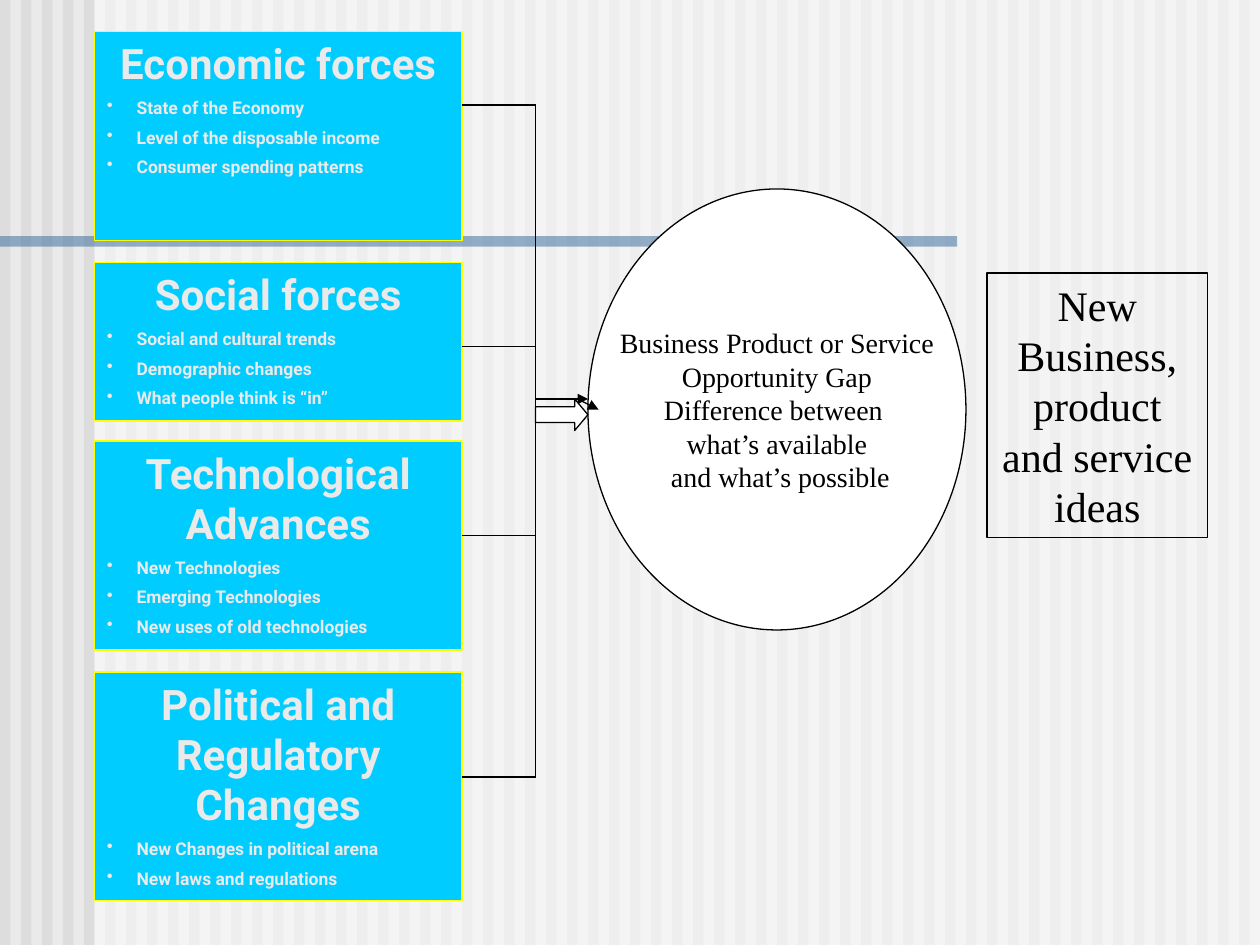
from dataclasses import dataclass

from lxml.etree import SubElement
from pptx import Presentation
from pptx.dml.color import RGBColor
from pptx.enum.shapes import MSO_CONNECTOR, MSO_SHAPE
from pptx.enum.text import MSO_ANCHOR, PP_ALIGN
from pptx.oxml.ns import qn
from pptx.util import Pt


@dataclass(frozen=True)
class Theme:
    """Colours, fonts and type sizes of the slide."""
    backdrop: str = "EAEAEA"
    stripe: str = "DDDDDD"
    white: str = "FFFFFF"
    rule: str = "336699"
    panel: str = "00CCFF"
    panel_edge: str = "FFFF00"
    ink: str = "000000"
    sans: str = "Roboto"
    serif: str = "Times New Roman"
    large: int = 24
    medium: int = 16
    small: int = 10
    line: float = 0.75


THEME = Theme()
WIDTH, HEIGHT = 720, 540
STRIPE_STEP, STRIPE_WIDTH = 12, 6
PANEL_LEFT, PANEL_WIDTH = 54, 210
TRUNK_X = 306

# title, bullets, top, height, height of the connector
FORCES = [
    ("Economic forces",
     ["State of the Economy", "Level of the disposable income",
      "Consumer spending patterns"], 18, 119.5, 60),
    ("Social forces",
     ["Social and cultural trends", "Demographic changes",
      "What people think is “in”"], 150, 90.5, 198),
    ("Technological Advances",
     ["New Technologies", "Emerging Technologies",
      "New uses of old technologies"], 252, 119.5, 306),
    ("Political and Regulatory Changes",
     ["New Changes in political arena", "New laws and regulations"],
     384, 130.5, 444),
]
GAP_LINES = ["Business Product or Service", "Opportunity Gap",
             "Difference between ", "what’s available",
             " and what’s possible"]
IDEAS = "New Business, product and service ideas"
ARROWS = [((330, 228), (342, 234)), ((TRUNK_X, 228), (336, 228))]


def add_box(page, kind, left, top, width, height, fill=None, edge=None, alpha=None):
    """Add a preset shape with flat fill, optional outline and opacity in percent."""
    box = page.shapes.add_shape(kind, Pt(left), Pt(top), Pt(width), Pt(height))
    box.shadow.inherit = False
    if fill:
        box.fill.solid()
        box.fill.fore_color.rgb = RGBColor.from_string(fill)
    else:
        box.fill.background()
    if alpha:
        color = box.fill._xPr.find(qn("a:solidFill"))[0]
        SubElement(color, qn("a:alpha"), val=str(alpha * 1000))
    if edge:
        box.line.color.rgb = RGBColor.from_string(edge)
        box.line.width = Pt(THEME.line)
    else:
        box.line.fill.background()
    return box


def add_text(box, text, size, font=THEME.serif, color=THEME.ink, bold=False,
             align=PP_ALIGN.CENTER, before=0, bullet=False):
    """Append one formatted paragraph to a box."""
    frame = box.text_frame
    para = frame.add_paragraph() if frame.text else frame.paragraphs[0]
    para.alignment = align
    para.space_before = Pt(before)
    if bullet:
        props = para._p.get_or_add_pPr()
        props.set("marL", str(Pt(17)))
        props.set("indent", str(-Pt(17)))
        SubElement(props, qn("a:buChar"), char="•")
    span = para.add_run()
    span.text = text
    span.font.size = Pt(size)
    span.font.name = font
    span.font.bold = bold
    span.font.color.rgb = RGBColor.from_string(color)


def add_line(page, start, end, arrow=False):
    """Draw a straight connector, with an arrowhead at its end on request."""
    line = page.shapes.add_connector(
        MSO_CONNECTOR.STRAIGHT, *(Pt(value) for value in (*start, *end)))
    line.line.color.rgb = RGBColor.from_string(THEME.ink)
    line.line.width = Pt(THEME.line)
    if arrow:
        SubElement(line.line._get_or_add_ln(), qn("a:tailEnd"), type="triangle")
    SubElement(line._element.spPr, qn("a:effectLst"))


def add_backdrop(page):
    """Paint the striped background, the pale veil and the blue rule."""
    page.background.fill.solid()
    page.background.fill.fore_color.rgb = RGBColor.from_string(THEME.backdrop)
    for left in range(0, WIDTH, STRIPE_STEP):
        add_box(page, MSO_SHAPE.RECTANGLE, left, 0, STRIPE_WIDTH, HEIGHT, THEME.stripe)
    add_box(page, MSO_SHAPE.RECTANGLE, PANEL_LEFT, 0, WIDTH - PANEL_LEFT, HEIGHT,
            THEME.white, alpha=50)
    add_box(page, MSO_SHAPE.RECTANGLE, 0, 135, 547, 6, THEME.rule, alpha=50)


def add_force(page, title, bullets, top, height):
    """Add one panel with a title and its bullets."""
    panel = add_box(page, MSO_SHAPE.RECTANGLE, PANEL_LEFT, top, PANEL_WIDTH, height,
                    THEME.panel, THEME.panel_edge)
    panel.text_frame.word_wrap = True
    panel.text_frame.vertical_anchor = MSO_ANCHOR.TOP
    style = dict(font=THEME.sans, color=THEME.backdrop, bold=True)
    add_text(panel, title, THEME.large, **style)
    for bullet in bullets:
        add_text(panel, bullet, THEME.small, align=PP_ALIGN.LEFT, before=5,
                 bullet=True, **style)


deck = Presentation()
deck.slide_width, deck.slide_height = Pt(WIDTH), Pt(HEIGHT)
page = deck.slides.add_slide(deck.slide_layouts[6])
add_backdrop(page)
for title, bullets, top, height, _ in FORCES:
    add_force(page, title, bullets, top, height)

gap = add_box(page, MSO_SHAPE.OVAL, 336, 108, 216, 252, THEME.white, THEME.ink)
gap.text_frame.word_wrap = False
gap.text_frame.vertical_anchor = MSO_ANCHOR.MIDDLE
for text in GAP_LINES:
    add_text(gap, text, THEME.medium)

ideas = add_box(page, MSO_SHAPE.RECTANGLE, 564, 156, 126, 151.2, edge=THEME.ink)
ideas.text_frame.word_wrap = True
ideas.text_frame.vertical_anchor = MSO_ANCHOR.TOP
add_text(ideas, IDEAS, THEME.large)

branches = [force[-1] for force in FORCES]
for level in branches:
    add_line(page, (PANEL_LEFT + PANEL_WIDTH, level), (TRUNK_X, level))
add_line(page, (TRUNK_X, branches[0]), (TRUNK_X, branches[-1]))
for start, end in ARROWS:
    add_line(page, start, end, arrow=True)
pointer = add_box(page, MSO_SHAPE.RIGHT_ARROW, TRUNK_X, 228, 30, 18,
                  THEME.white, THEME.ink)
pointer.adjustments[0], pointer.adjustments[1] = 0.5, 0.42

deck.save("out.pptx")
